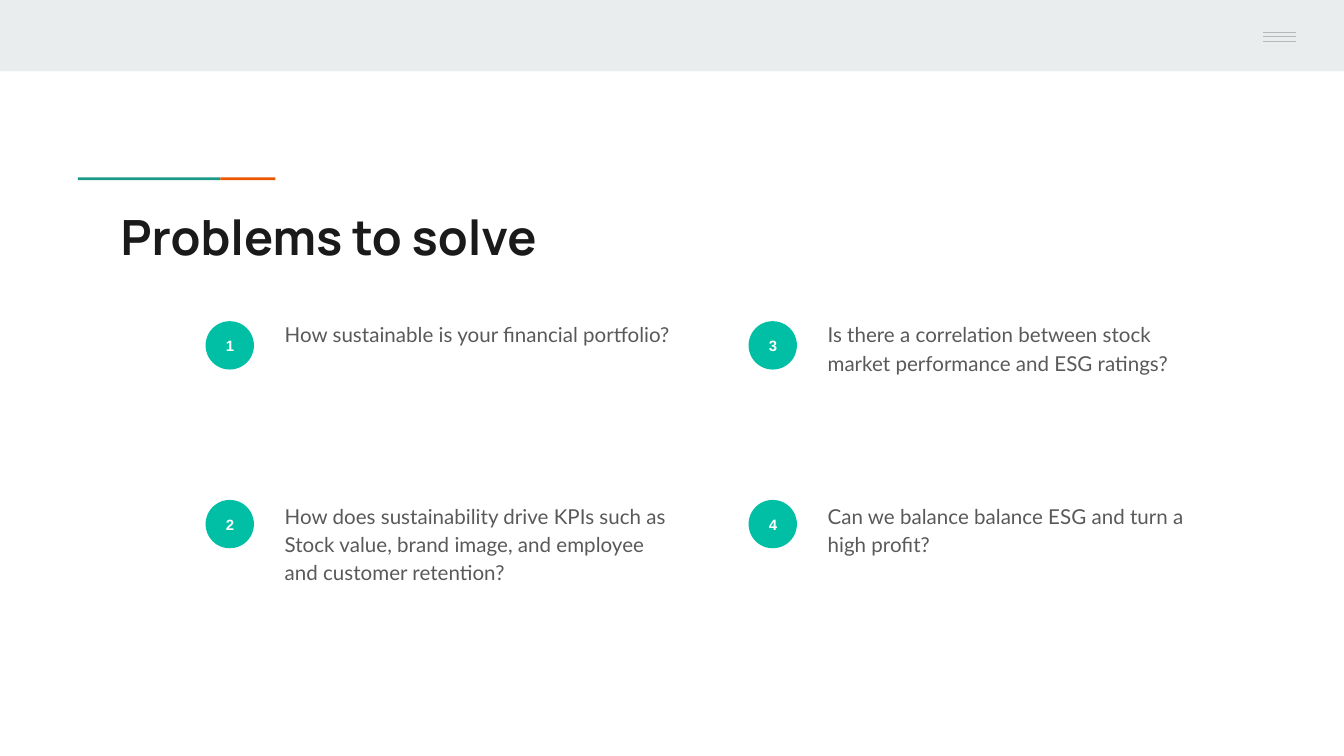
from pptx import Presentation, util as u
from pptx.dml.color import RGBColor
from pptx.enum import shapes, text
from pptx.oxml.ns import qn
from lxml import etree

TITLE = "Problems to solve"
QUESTIONS = [  # filled down each column
    "How sustainable is your financial portfolio?",
    "How does sustainability drive KPIs such as Stock value, brand image, "
    "and employee and customer retention?",
    "Is there a correlation between stock market performance and ESG ratings?",
    "Can we balance balance ESG and turn a high profit?",
]
BAND, GREEN, ORANGE, TEAL, GREY = "E9EDEE", "1A9988", "EB5600", "00BFA5", "B7B7B7"
TITLE_FONT = dict(name="Manrope", size=u.Pt(26), bold=True, color="1A1A1A")
NUMBER_FONT = dict(name="Arial", size=u.Pt(8), bold=True, color="FFFFFF")
BODY_FONT = dict(name="Lato", size=u.Pt(11), bold=False, color="595959")
BODY_PARA = dict(line_spacing=1.15, space_after=u.Pt(16))

WIDTH = 10
HEIGHT = WIDTH * 9 / 16
ROWS = 2
COL_X, COL_STEP = 1.53, 4.04
BADGE_Y, BADGE_STEP, BADGE = 2.39, 1.33, 0.36
BODY_Y, BODY_STEP = 2.27, 1.35
BODY_DX, BODY_W, BODY_H = 0.49, 3.1, 1.15
MENU_X, MENU_W, MENU_YS = 9.4, 0.24, (0.24, 0.27, 0.31)


def rgb(value):
    return RGBColor.from_string(value)


def inches(*values):
    return [u.Inches(v) for v in values]


def add_filled(s, kind, box, color):
    sp = s.shapes.add_shape(kind, *inches(*box))
    sp.shadow.inherit = False
    sp.fill.solid()
    sp.fill.fore_color.rgb = rgb(color)
    sp.line.fill.background()
    return sp


def write(sp, words, font, anchor=text.MSO_ANCHOR.TOP, **para):
    tf = sp.text_frame
    tf.word_wrap = True
    tf.vertical_anchor = anchor
    for side in ("left", "top", "right", "bottom"):
        setattr(tf, f"margin_{side}", u.Inches(0.1))
    p = tf.paragraphs[0]
    for key, value in para.items():
        setattr(p, key, value)
    r = p.add_run()
    r.text = words
    for key, value in font.items():
        if key == "color":
            r.font.color.rgb = rgb(value)
        else:
            setattr(r.font, key, value)


def add_header(s):
    rect = shapes.MSO_SHAPE.RECTANGLE
    add_filled(s, rect, (0, 0, WIDTH, 0.53), BAND)
    for y in MENU_YS:
        line = s.shapes.add_connector(
            shapes.MSO_CONNECTOR.STRAIGHT, *inches(MENU_X, y, MENU_X + MENU_W, y))
        line.line.color.rgb = rgb(GREY)
        line.line.width = u.Pt(0.75)
        etree.SubElement(line._element.spPr, qn("a:effectLst"))
    add_filled(s, rect, (0.58, 1.32, 1.06, 0.02), GREEN)
    add_filled(s, rect, (1.64, 1.32, 0.41, 0.02), ORANGE)
    write(s.shapes.add_textbox(*inches(0.8, 1.44, 8.41, 0.59)), TITLE, TITLE_FONT)


def add_question(s, index, question):
    col, row = divmod(index, ROWS)
    x = COL_X + col * COL_STEP
    badge = add_filled(s, shapes.MSO_SHAPE.OVAL,
                       (x, BADGE_Y + row * BADGE_STEP, BADGE, BADGE), TEAL)
    write(badge, str(index + 1), NUMBER_FONT, text.MSO_ANCHOR.MIDDLE,
          alignment=text.PP_ALIGN.CENTER)
    body = s.shapes.add_textbox(
        *inches(x + BODY_DX, BODY_Y + row * BODY_STEP, BODY_W, BODY_H))
    write(body, question, BODY_FONT, **BODY_PARA)


def main():
    prs = Presentation()
    prs.slide_width, prs.slide_height = inches(WIDTH, HEIGHT)
    s = prs.slides.add_slide(prs.slide_layouts[6])
    add_header(s)
    for index, question in enumerate(QUESTIONS):
        add_question(s, index, question)
    prs.save("out.pptx")


if __name__ == "__main__":
    main()
